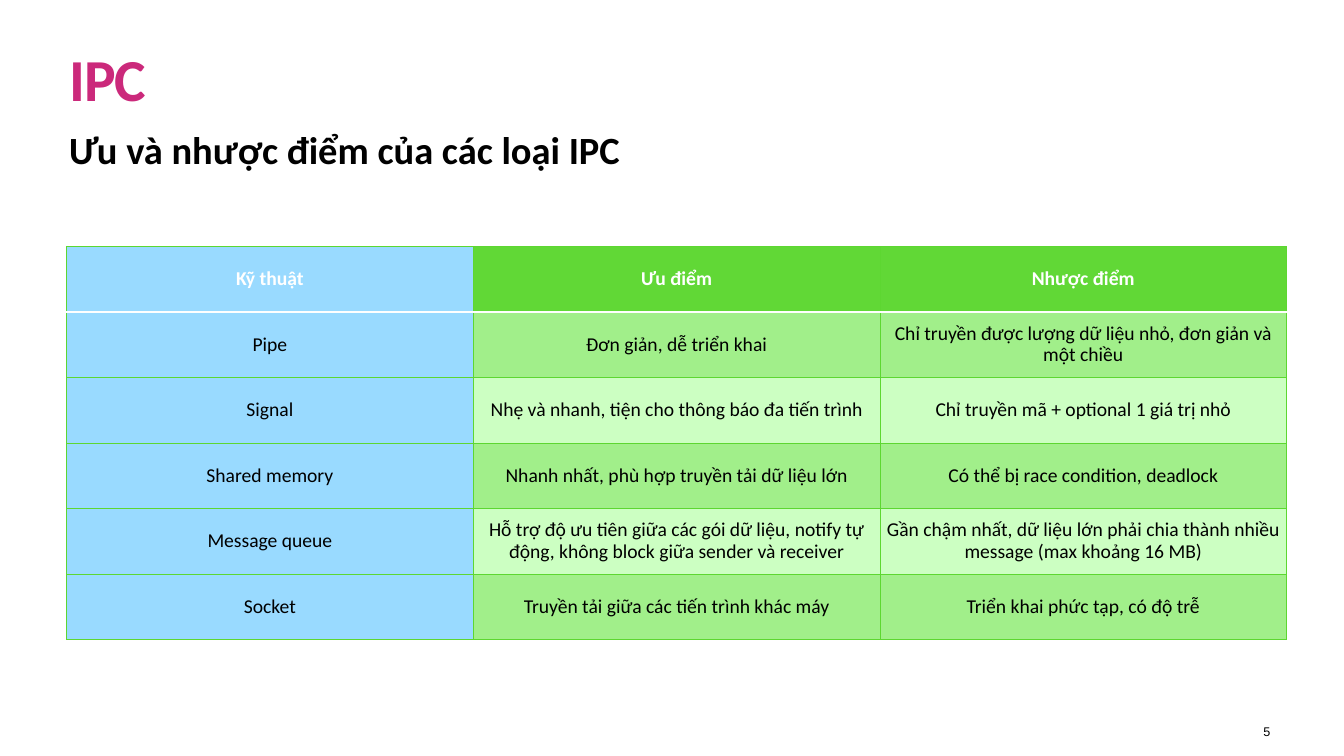
from dataclasses import dataclass

from lxml.etree import SubElement
from pptx import Presentation
from pptx.dml.color import RGBColor
from pptx.enum.text import MSO_ANCHOR, MSO_AUTO_SIZE, PP_ALIGN
from pptx.oxml.ns import qn
from pptx.util import Inches, Pt


@dataclass(frozen=True)
class Theme:
    """Colours, fonts and type sizes of the slide."""

    font: str = "Calibri"
    number_font: str = "Arial"
    title_size: float = 85
    subtitle_size: float = 55
    cell_size: float = 28
    number_size: float = 18
    accent: str = "CB297B"
    ink: str = "000000"
    paper: str = "FFFFFF"
    technique: str = "99DAFF"
    header: str = "61D836"
    bands: tuple = ("A1EF8A", "CCFFC2")
    rule: str = "5DD731"
    rule_width: float = 0.75
    header_rule_width: float = 2


THEME = Theme()
WIDTH, HEIGHT = Inches(26.67), Inches(15)
LEFT = Inches(1.32)
HEADING_WIDTH = Inches(24.03)
COLUMN_WIDTH, ROW_HEIGHT = Inches(8.07), Inches(1.3)
COMPARISON = [
    ("Kỹ thuật", "Ưu điểm", "Nhược điểm"),
    ("Pipe", "Đơn giản, dễ triển khai",
     "Chỉ truyền được lượng dữ liệu nhỏ, đơn giản và một chiều"),
    ("Signal", "Nhẹ và nhanh, tiện cho thông báo đa tiến trình",
     "Chỉ truyền mã + optional 1 giá trị nhỏ"),
    ("Shared memory", "Nhanh nhất, phù hợp truyền tải dữ liệu lớn",
     "Có thể bị race condition, deadlock"),
    ("Message queue",
     "Hỗ trợ độ ưu tiên giữa các gói dữ liệu, notify tự động, không block giữa sender và receiver",
     "Gần chậm nhất, dữ liệu lớn phải chia thành nhiều message (max khoảng 16 MB)"),
    ("Socket", "Truyền tải giữa các tiến trình khác máy",
     "Triển khai phức tạp, có độ trễ"),
]


def style_paragraph(paragraph, size, color, bold=False, align=PP_ALIGN.LEFT,
                    spacing=1.0, font=THEME.font):
    """Set the type and spacing of one paragraph."""
    paragraph.alignment = align
    paragraph.line_spacing = spacing
    paragraph.space_before = Pt(0)
    paragraph.font.name = font
    paragraph.font.size = Pt(size)
    paragraph.font.bold = bold
    paragraph.font.color.rgb = RGBColor.from_string(color)


def set_frame(frame, inset, anchor, wrap=True):
    """Set the insets, anchor and wrapping of a text frame."""
    frame.margin_left = frame.margin_right = Inches(inset)
    frame.margin_top = frame.margin_bottom = Inches(inset)
    frame.vertical_anchor = anchor
    frame.word_wrap = wrap
    frame.auto_size = MSO_AUTO_SIZE.NONE


def fill_heading(placeholder, text, top, height, inset, size, color, spacing=1.0):
    """Place a heading placeholder and write its text without a bullet."""
    placeholder.left, placeholder.top = LEFT, Inches(top)
    placeholder.width, placeholder.height = HEADING_WIDTH, Inches(height)
    set_frame(placeholder.text_frame, inset, MSO_ANCHOR.TOP)
    placeholder.text_frame.text = text
    paragraph = placeholder.text_frame.paragraphs[0]
    properties = paragraph._p.get_or_add_pPr()
    properties.set("marL", "0")
    properties.set("indent", "0")
    SubElement(properties, qn("a:buNone"))
    style_paragraph(paragraph, size, color, bold=True, spacing=spacing)
    return paragraph


def add_border(cell_properties, edge, width, color):
    """Draw one edge of a table cell."""
    line = SubElement(cell_properties, qn(f"a:{edge}"), w=str(Pt(width)))
    SubElement(SubElement(line, qn("a:solidFill")), qn("a:srgbClr"), val=color)


def cell_fill(row, column):
    """Return the fill colour for a position in the table."""
    if column == 0:
        return THEME.technique
    return THEME.header if row == 0 else THEME.bands[(row - 1) % 2]


def format_cell(cell, text, row, column):
    """Write and style one table cell."""
    cell.text = text
    cell.vertical_anchor = MSO_ANCHOR.MIDDLE
    is_header = row == 0
    style_paragraph(cell.text_frame.paragraphs[0], THEME.cell_size,
                    THEME.paper if is_header else THEME.ink,
                    bold=is_header, align=PP_ALIGN.CENTER, spacing=0.9)
    cell_properties = cell._tc.get_or_add_tcPr()
    header_edge = {0: "lnB", 1: "lnT"}.get(row)
    for edge in ("lnL", "lnR", "lnT", "lnB"):
        if edge == header_edge:
            add_border(cell_properties, edge, THEME.header_rule_width, THEME.paper)
        else:
            add_border(cell_properties, edge, THEME.rule_width, THEME.rule)
    cell.fill.solid()
    cell.fill.fore_color.rgb = RGBColor.from_string(cell_fill(row, column))


def add_comparison(slide):
    """Add the table of advantages and drawbacks."""
    rows, columns = len(COMPARISON), len(COMPARISON[0])
    table = slide.shapes.add_table(rows, columns, LEFT, Inches(4.89),
                                   COLUMN_WIDTH * columns, ROW_HEIGHT * rows).table
    for row, texts in enumerate(COMPARISON):
        for column, text in enumerate(texts):
            format_cell(table.cell(row, column), text, row, column)


def add_page_number(slide, number):
    """Add the page number at the lower right."""
    box = slide.shapes.add_textbox(Inches(24.94), Inches(14.31), Inches(0.4), Inches(0.41))
    set_frame(box.text_frame, 0.06, MSO_ANCHOR.BOTTOM, wrap=False)
    box.text_frame.text = number
    style_paragraph(box.text_frame.paragraphs[0], THEME.number_size, THEME.ink,
                    align=PP_ALIGN.CENTER, font=THEME.number_font)


def main():
    """Build and save the slide."""
    deck = Presentation()
    deck.slide_width, deck.slide_height = WIDTH, HEIGHT
    slide = deck.slides.add_slide(deck.slide_layouts[1])
    title = fill_heading(slide.shapes.title, "IPC", 1.04, 1.57, 0.06,
                         THEME.title_size, THEME.accent, spacing=0.8)
    title.runs[0].font._element.set("spc", "-170")
    fill_heading(slide.placeholders[1], "Ưu và nhược điểm của các loại IPC",
                 2.46, 1.02, 0.05, THEME.subtitle_size, THEME.ink)
    add_comparison(slide)
    add_page_number(slide, "5")
    deck.save("out.pptx")


if __name__ == "__main__":
    main()
